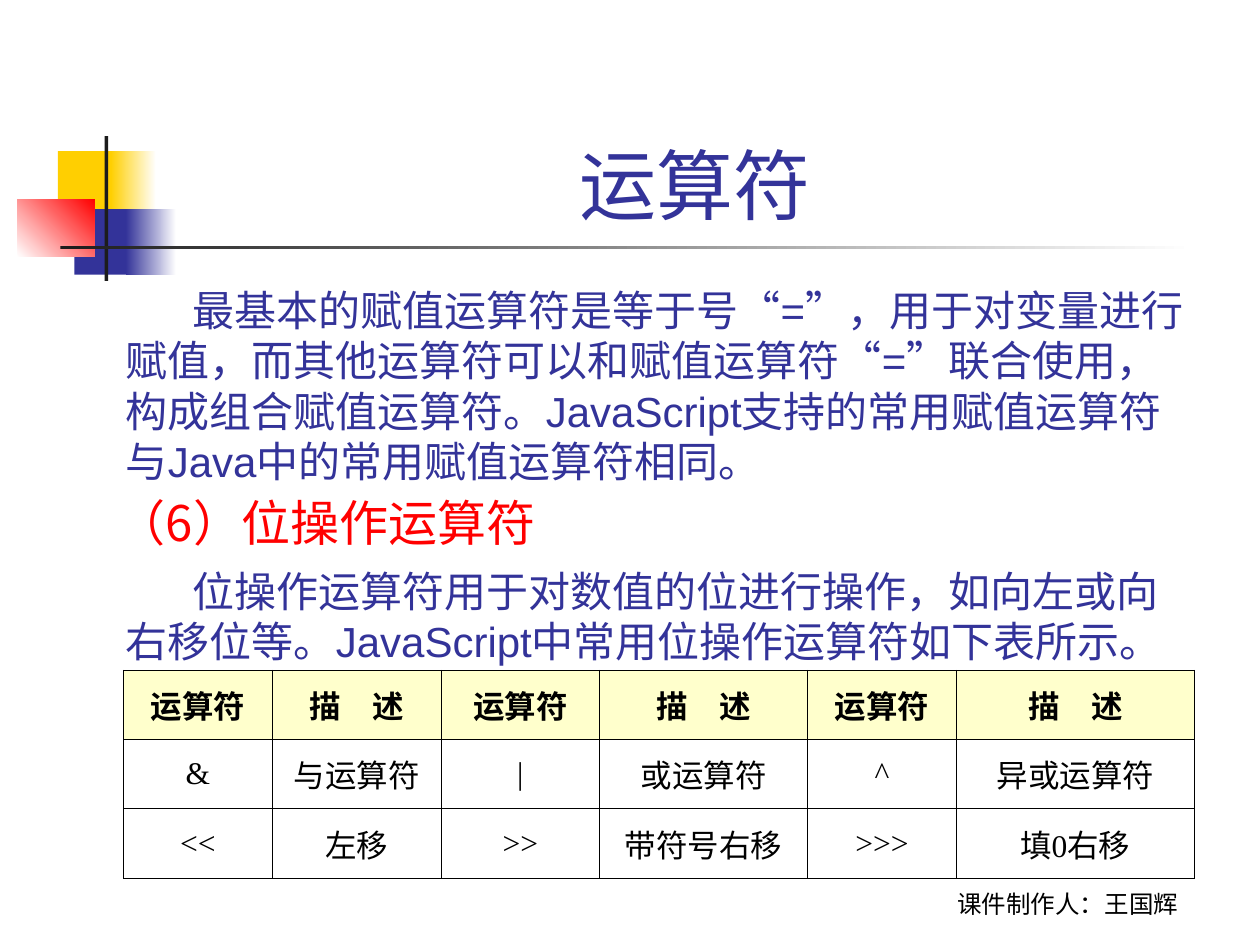
from lxml.etree import SubElement
from pptx import Presentation
from pptx.dml.color import RGBColor
from pptx.enum.shapes import MSO_SHAPE
from pptx.enum.text import MSO_ANCHOR, PP_ALIGN
from pptx.oxml.ns import qn
from pptx.util import Inches, Pt

WHITE = RGBColor(0xFF, 0xFF, 0xFF)
BLACK = RGBColor(0x00, 0x00, 0x00)
CHARCOAL = RGBColor(0x1C, 0x1C, 0x1C)
YELLOW = RGBColor(0xFF, 0xCF, 0x01)
CREAM = RGBColor(0xFF, 0xFF, 0xCC)
BLUE = RGBColor(0x33, 0x33, 0x99)
RED = RGBColor(0xFF, 0x00, 0x00)
CJK_FONT = "Noto Sans CJK SC"

TITLE = {"size": Pt(44), "name": "Arial"}
HEADING = {"size": Pt(28), "name": CJK_FONT}
BODY = {"size": Pt(24), "name": "Arial"}
FOOTER = {"size": Pt(14), "name": "Karla"}
CELL = {"size": Pt(18), "name": "Times New Roman"}

ASSIGNMENT = (
    "最基本的赋值运算符是等于号“=”，用于对变量进行赋值，而其他运算符可以和赋值运算符“=”联合使用，"
    "构成组合赋值运算符。JavaScript支持的常用赋值运算符与Java中的常用赋值运算符相同。"
)
BITWISE = (
    "位操作运算符用于对数值的位进行操作，如向左或向右移位等。"
    "JavaScript中常用位操作运算符如下表所示。"
)
OPERATORS = [
    ["运算符", "描　述"] * 3,
    ["&", "与运算符", "|", "或运算符", "^", "异或运算符"],
    ["<<", "左移", ">>", "带符号右移", ">>>", "填0右移"],
]
COLUMN_WIDTHS = [1.18, 1.34, 1.26, 1.65, 1.18, 1.89]


def write(p, text, formats, color):
    """Put one formatted run into a paragraph."""
    r = p.add_run()
    r.text = text
    for name, value in formats.items():
        setattr(r.font, name, value)
    r.font.color.rgb = color
    SubElement(r.font._element, qn("a:ea"), typeface=CJK_FONT)


def add_text(s, box, text, formats, color, align=PP_ALIGN.LEFT, anchor=MSO_ANCHOR.TOP, indent=0):
    """Place one paragraph of text in the given box."""
    tf = s.shapes.add_textbox(*map(Inches, box)).text_frame
    size = formats["size"].pt
    shift = 0.08 * size / 72
    settings = {
        "word_wrap": True,
        "vertical_anchor": anchor,
        "margin_right": Inches(0.07 if indent else 0.1),
        "margin_top": Inches(0.05 + shift),
        "margin_bottom": Inches(0.05 - shift),
    }
    for name, value in settings.items():
        setattr(tf, name, value)
    p = tf.paragraphs[0]
    p.alignment = align
    p.line_spacing = Pt(1.2 * size)
    pPr = p._p.get_or_add_pPr()
    pPr.set("indent", str(Inches(indent)))
    pPr.set("hangingPunct", "0")
    write(p, text, formats, color)


def add_block(s, box, start, end=None, angle=0):
    """Draw a borderless rectangle with a solid or gradient fill."""
    sp = s.shapes.add_shape(MSO_SHAPE.RECTANGLE, *map(Inches, box))
    sp.shadow.inherit = False
    sp.line.fill.background()
    if end is None:
        sp.fill.solid()
        sp.fill.fore_color.rgb = start
        return
    sp.fill.gradient()
    sp.fill.gradient_angle = angle
    for stop, color, position in zip(sp.fill.gradient_stops, (start, end), (0, 1)):
        stop.color.rgb = color
        stop.position = position


def add_ornament(s, box):
    """Draw the coloured squares and crossing bars inside the box."""
    left, top, width, height = box
    add_block(s, (left + 0.32, top + 0.12, 0.48, 0.52), YELLOW)
    add_block(s, (left + 0.74, top + 0.12, 0.36, 0.52), YELLOW, WHITE)
    add_block(s, (left + 0.45, top + 0.58, 0.46, 0.52), BLUE)
    add_block(s, (left + 0.86, top + 0.58, 0.4, 0.52), BLUE, WHITE)
    add_block(s, (left, top + 0.5, 0.61, 0.46), WHITE, RED, 45)
    add_block(s, (left + 0.69, top, 0.03, height), CHARCOAL)
    add_block(s, (left + 0.34, top + 0.87, width - 0.34, 0.03), CHARCOAL, WHITE)


def add_body(s, box):
    """Stack the two explanations around the red heading."""
    left, top, width, _ = box
    add_text(s, (left - 0.07, top + 1.65, width, 0.57), "（6）位操作运算符", HEADING, RED)
    add_text(s, (left, top + 2.23, width, 0.9), BITWISE, BODY, BLUE, indent=0.53)
    add_text(s, (left, top, width, 1.7), ASSIGNMENT, BODY, BLUE, indent=0.53)


def add_borders(cell):
    """Give a cell thin black lines on all four sides."""
    tcPr = cell._tc.get_or_add_tcPr()
    for side in ("lnL", "lnR", "lnT", "lnB"):
        ln = SubElement(tcPr, qn(f"a:{side}"), w=str(Pt(0.5)))
        fill = SubElement(ln, qn("a:solidFill"))
        SubElement(fill, qn("a:srgbClr"), val=str(BLACK))


def add_operator_table(s, box):
    """Fill the box with the table of bitwise operators."""
    rows, cols = len(OPERATORS), len(COLUMN_WIDTHS)
    table = s.shapes.add_table(rows, cols, *map(Inches, box)).table
    table.first_row = table.horz_banding = False
    for column, width in zip(table.columns, COLUMN_WIDTHS):
        column.width = Inches(width)
    for i, values in enumerate(OPERATORS):
        table.rows[i].height = Inches(box[3] / rows)
        for j, text in enumerate(values):
            cell = table.cell(i, j)
            add_borders(cell)
            if i == 0:
                cell.fill.solid()
                cell.fill.fore_color.rgb = CREAM
            else:
                cell.fill.background()
            cell.vertical_anchor = MSO_ANCHOR.MIDDLE
            p = cell.text_frame.paragraphs[0]
            p.alignment = PP_ALIGN.CENTER
            write(p, text, {**CELL, "bold": i == 0}, BLACK)


def main():
    """Build the slide and save it."""
    prs = Presentation()
    prs.slide_width, prs.slide_height = Inches(10), Inches(7.5)
    s = prs.slides.add_slide(prs.slide_layouts[6])
    centred = {"align": PP_ALIGN.CENTER, "anchor": MSO_ANCHOR.BOTTOM}
    add_ornament(s, (0.14, 1.08, 9.34, 1.15))
    add_text(s, (6.89, 6.82, 3.17, 0.5), "课件制作人：王国辉", FOOTER, BLACK, **centred)
    add_text(s, (1.26, 0.23, 8.52, 1.6), "运算符", TITLE, BLUE, **centred)
    add_body(s, (0.9, 2.18, 8.58, 3.13))
    add_operator_table(s, (0.98, 5.32, 8.5, 1.65))
    prs.save("out.pptx")


if __name__ == "__main__":
    main()
